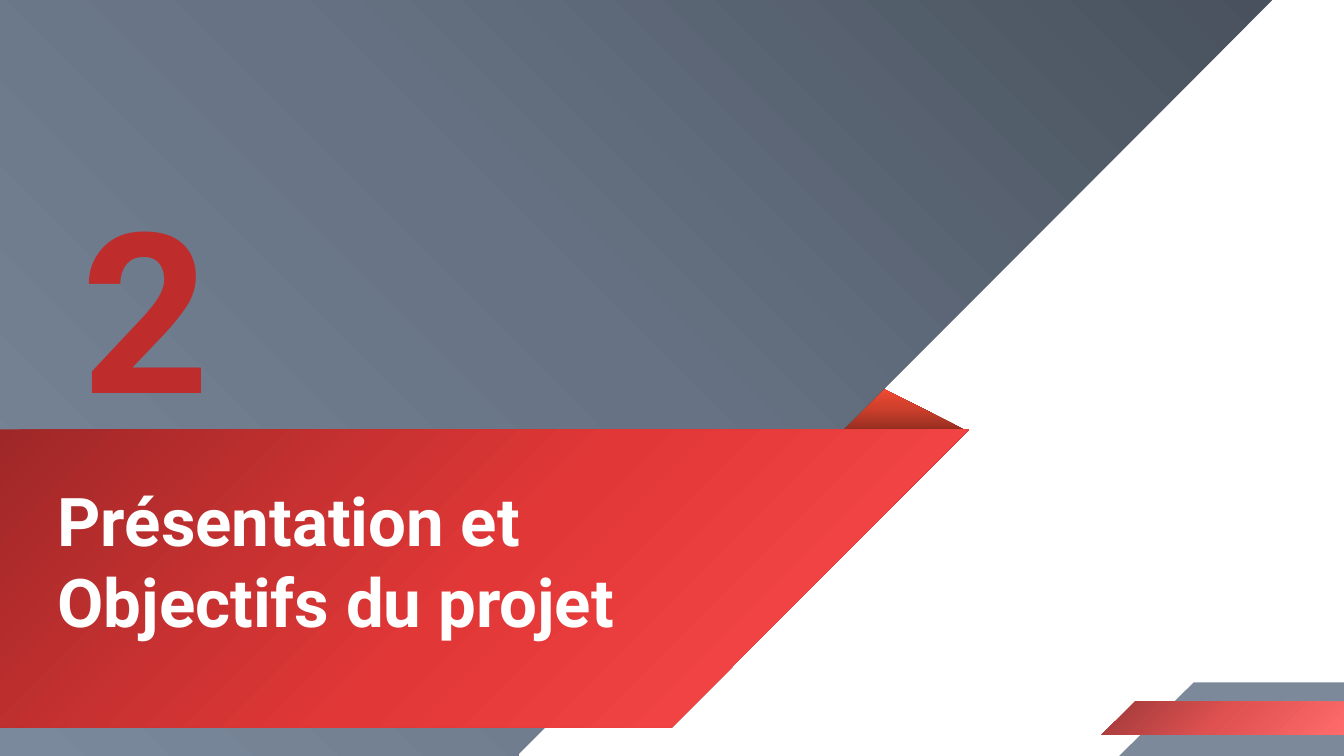
from lxml import etree
from pptx import Presentation
from pptx.dml.color import RGBColor
from pptx.enum.text import MSO_ANCHOR, MSO_AUTO_SIZE, PP_ALIGN
from pptx.oxml.ns import qn
from pptx.util import Inches, Pt

WIDTH, HEIGHT = 13.33, 7.5
FONT = "Roboto"
TITLE_ONLY = 5

COLORS = {
    "number": "BE2C2C",
    "heading": "FFFFFF",
    "corner": "7C899A",
    "fold": ("902C1F", "CC3F2B", "F24B34"),
    "panel": ("48515D", "677384", "7A899C"),
    "banner": ("9F2727", "E23737", "FF4F4F"),
    "ribbon": ("9E3939", "E05151", "FF6B6B"),
}

NUMBER = "2"
HEADING = "Présentation et Objectifs du projet"

BANNER_TOP, BANNER_BOTTOM = 4.26, 7.22
CORNER_TOP = 6.77
RIBBON_TOP, RIBBON_BOTTOM = 6.96, 7.29

# Colour key, gradient angle in degrees clockwise (None: from the top left corner), outline
SHAPES = [
    ("fold", 270, [(8.73, 3.84), (8.31, 4.28), (9.6, 4.28)]),
    ("panel", 135, [(12.62, 0), (0, 0), (0, HEIGHT), (5.14, HEIGHT), (5.14, 7.48)]),
    ("banner", 45, [(9.61, BANNER_TOP), (0, BANNER_TOP),
                    (0, BANNER_BOTTOM), (6.66, BANNER_BOTTOM)]),
    ("corner", None, [(WIDTH, CORNER_TOP), (11.84, CORNER_TOP),
                      (11.1, HEIGHT), (WIDTH, HEIGHT)]),
    ("ribbon", None, [(WIDTH, RIBBON_TOP), (11.26, RIBBON_TOP),
                      (10.93, RIBBON_BOTTOM), (WIDTH, RIBBON_BOTTOM)]),
]


def fill_gradient(shape, colors, angle):
    """Spread the colours evenly, along an angle or outwards from the top left."""
    shape.fill.gradient()
    gradient = shape.element.spPr.find(qn("a:gradFill"))
    for child in list(gradient):
        gradient.remove(child)
    stops = etree.SubElement(gradient, qn("a:gsLst"))
    for i, color in enumerate(colors):
        position = 100000 * i // (len(colors) - 1)
        stop = etree.SubElement(stops, qn("a:gs"), pos=str(position))
        etree.SubElement(stop, qn("a:srgbClr"), val=color)
    if angle is None:
        circle = etree.SubElement(gradient, qn("a:path"), path="circle")
        etree.SubElement(circle, qn("a:fillToRect"), r="100000", b="100000")
    else:
        etree.SubElement(gradient, qn("a:lin"), ang=str(angle * 60000), scaled="0")


def draw_outline(slide, color_key, angle, points):
    start, *rest = [(Inches(x), Inches(y)) for x, y in points]
    builder = slide.shapes.build_freeform(*start)
    builder.add_line_segments(rest, close=True)
    shape = builder.convert_to_shape()
    shape.shadow.inherit = False
    shape.line.fill.background()
    color = COLORS[color_key]
    if isinstance(color, str):
        shape.fill.solid()
        shape.fill.fore_color.rgb = RGBColor.from_string(color)
    else:
        fill_gradient(shape, color, angle)


def write_text(shape, text, size, color_key, anchor):
    frame = shape.text_frame
    frame.word_wrap = True
    frame.auto_size = MSO_AUTO_SIZE.SHAPE_TO_FIT_TEXT
    frame.vertical_anchor = anchor
    frame.margin_left = Inches(0.02)
    frame.margin_top = Inches(0.04)
    frame.margin_right = frame.margin_bottom = 0
    paragraph = frame.paragraphs[0]
    paragraph.text = text
    paragraph.alignment = PP_ALIGN.LEFT
    font = paragraph.font
    font.name, font.size, font.bold = FONT, Pt(size), True
    font.color.rgb = RGBColor.from_string(COLORS[color_key])


def main():
    prs = Presentation()
    prs.slide_width, prs.slide_height = Inches(WIDTH), Inches(HEIGHT)
    slide = prs.slides.add_slide(prs.slide_layouts[TITLE_ONLY])

    for color_key, angle, points in SHAPES:
        draw_outline(slide, color_key, angle, points)

    heading = slide.shapes.add_textbox(
        Inches(0.55), Inches(4.72), Inches(5.57), Inches(1.63))
    write_text(heading, HEADING, 48, "heading", MSO_ANCHOR.TOP)

    number = slide.shapes.title
    number.left, number.top = Inches(0.79), Inches(1.64)
    number.width, number.height = Inches(1.31), Inches(2.71)
    write_text(number, NUMBER, 160, "number", MSO_ANCHOR.MIDDLE)
    # The title comes first in the tree; bring it in front of the panel
    slide.shapes.element.append(number.element)

    prs.save("out.pptx")


if __name__ == "__main__":
    main()
